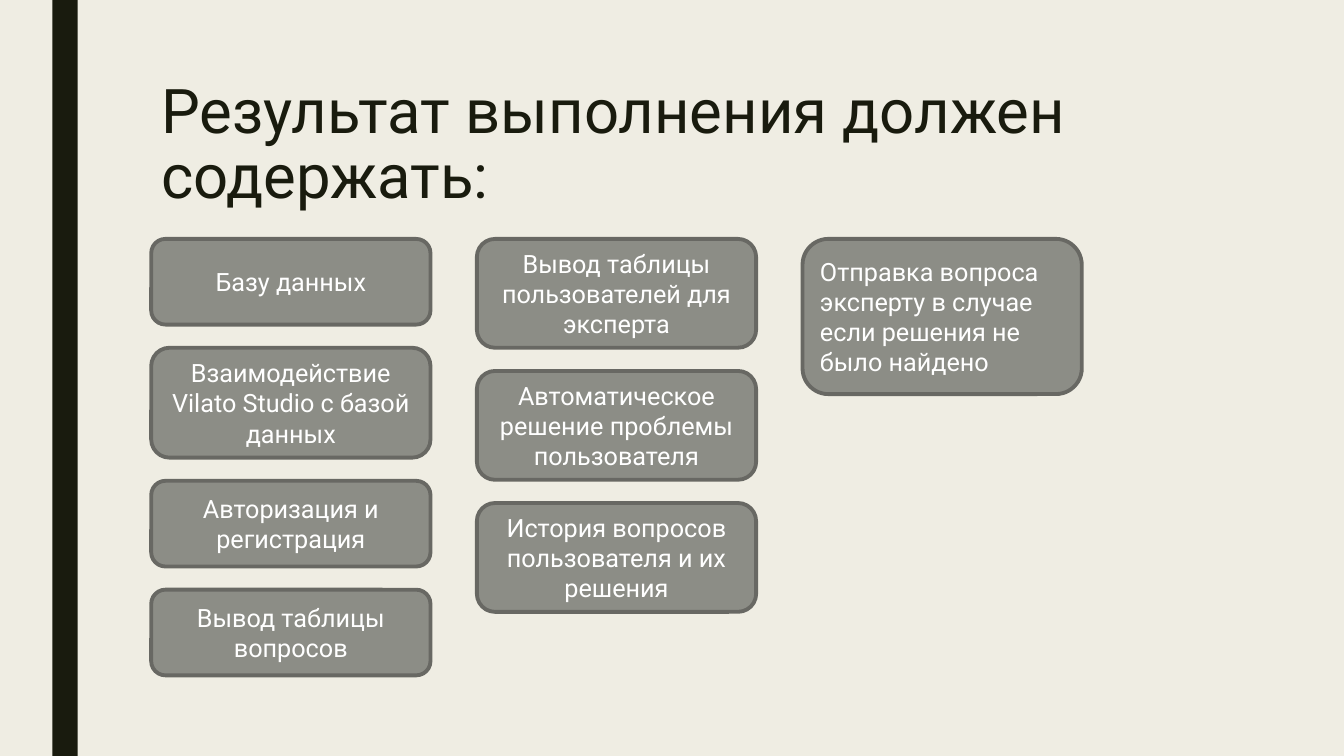
import dataclasses

import pptx
import pptx.dml.color
import pptx.enum.shapes
import pptx.enum.text
import pptx.util

Inches = pptx.util.Inches
Pt = pptx.util.Pt
Align = pptx.enum.text.PP_ALIGN
Anchor = pptx.enum.text.MSO_ANCHOR
Kind = pptx.enum.shapes.MSO_SHAPE


@dataclasses.dataclass(frozen=True)
class Theme:
    back: str = "EFEDE3"
    dark: str = "191B0E"
    card: str = "8C8D86"
    edge: str = "686863"
    light: str = "FFFFFF"
    font: str = "Roboto"
    head: float = 44
    body: float = 18
    line: float = 2.75


THEME = Theme()
TITLE = "Результат выполнения должен содержать:"
COLUMNS = [
    (Align.CENTER, [
        ("Базу данных", 0.85),
        ("Взаимодействие Vilato Studio с базой данных", 1.09),
        ("Авторизация и регистрация", 0.85),
        ("Вывод таблицы вопросов", 0.85),
    ]),
    (Align.CENTER, [
        ("Вывод таблицы пользователей для эксперта", 1.08),
        ("Автоматическое решение проблемы пользователя", 1.08),
        ("История вопросов пользователя и их решения", 1.08),
    ]),
    (Align.LEFT, [
        ("Отправка вопроса эксперту в случае если решения не было найдено", 1.54),
    ]),
]


def color(code):
    return pptx.dml.color.RGBColor.from_string(code)


def place(box):
    return [Inches(side) for side in box]


def write(frame, text, size, code, align, anchor):
    frame.word_wrap = True
    frame.vertical_anchor = anchor
    frame.text = text
    para = frame.paragraphs[0]
    para.alignment = align
    font = para.runs[0].font
    font.name = THEME.font
    font.size = Pt(size)
    font.color.rgb = color(code)
    return para


def block(slide, box, kind, fill):
    shape = slide.shapes.add_shape(kind, *place(box))
    shape.shadow.inherit = False
    shape.fill.solid()
    shape.fill.fore_color.rgb = color(fill)
    return shape


def add_bar(slide, box):
    block(slide, box, Kind.RECTANGLE, THEME.dark).line.fill.background()


def add_title(slide, box):
    frame = slide.shapes.add_textbox(*place(box)).text_frame
    para = write(frame, TITLE, THEME.head, THEME.dark, Align.LEFT, Anchor.TOP)
    para.line_spacing = 0.89


def add_card(slide, box, text, align):
    card = block(slide, box, Kind.ROUNDED_RECTANGLE, THEME.card)
    card.line.color.rgb = color(THEME.edge)
    card.line.width = Pt(THEME.line)
    write(card.text_frame, text, THEME.body, THEME.light, align, Anchor.MIDDLE)


def add_cards(slide, box, gap=0.23, space=0.46):
    left, top, width, _ = box
    count = len(COLUMNS)
    wide = (width - space * (count - 1)) / count
    for col, (align, cards) in enumerate(COLUMNS):
        x = left + col * (wide + space)
        y = top
        for text, high in cards:
            add_card(slide, (x, y, wide, high), text, align)
            y += high + gap


def main():
    deck = pptx.Presentation()
    deck.slide_width = Inches(13.33)
    deck.slide_height = Inches(7.5)
    slide = deck.slides.add_slide(deck.slide_layouts[6])
    slide.background.fill.solid()
    slide.background.fill.fore_color.rgb = color(THEME.back)
    add_bar(slide, (0.52, 0, 0.25, 7.5))
    add_title(slide, (1.5, 0.75, 10.5, 1.62))
    add_cards(slide, (1.5, 2.37, 9.23, 4.33))
    deck.save("out.pptx")


if __name__ == "__main__":
    main()
